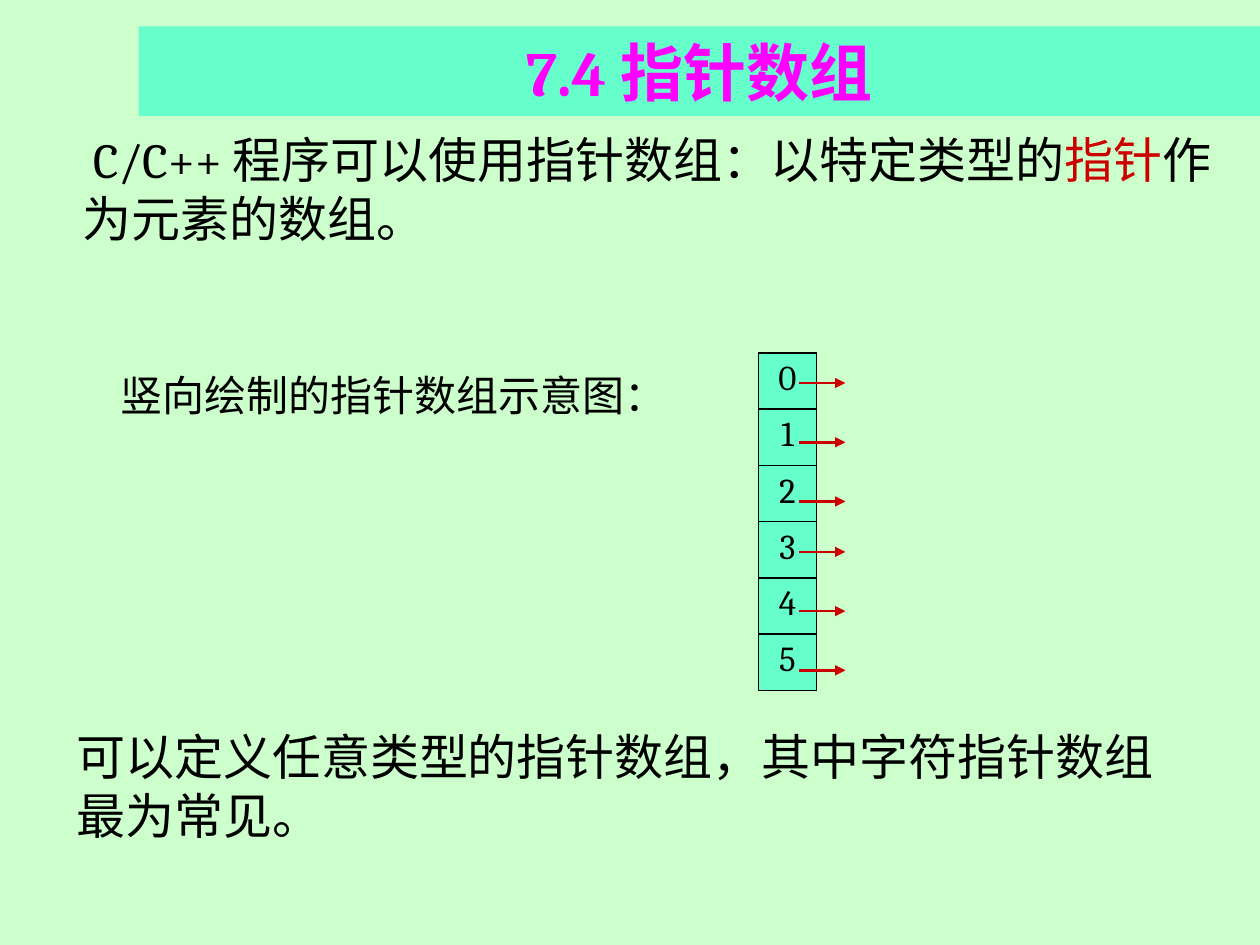
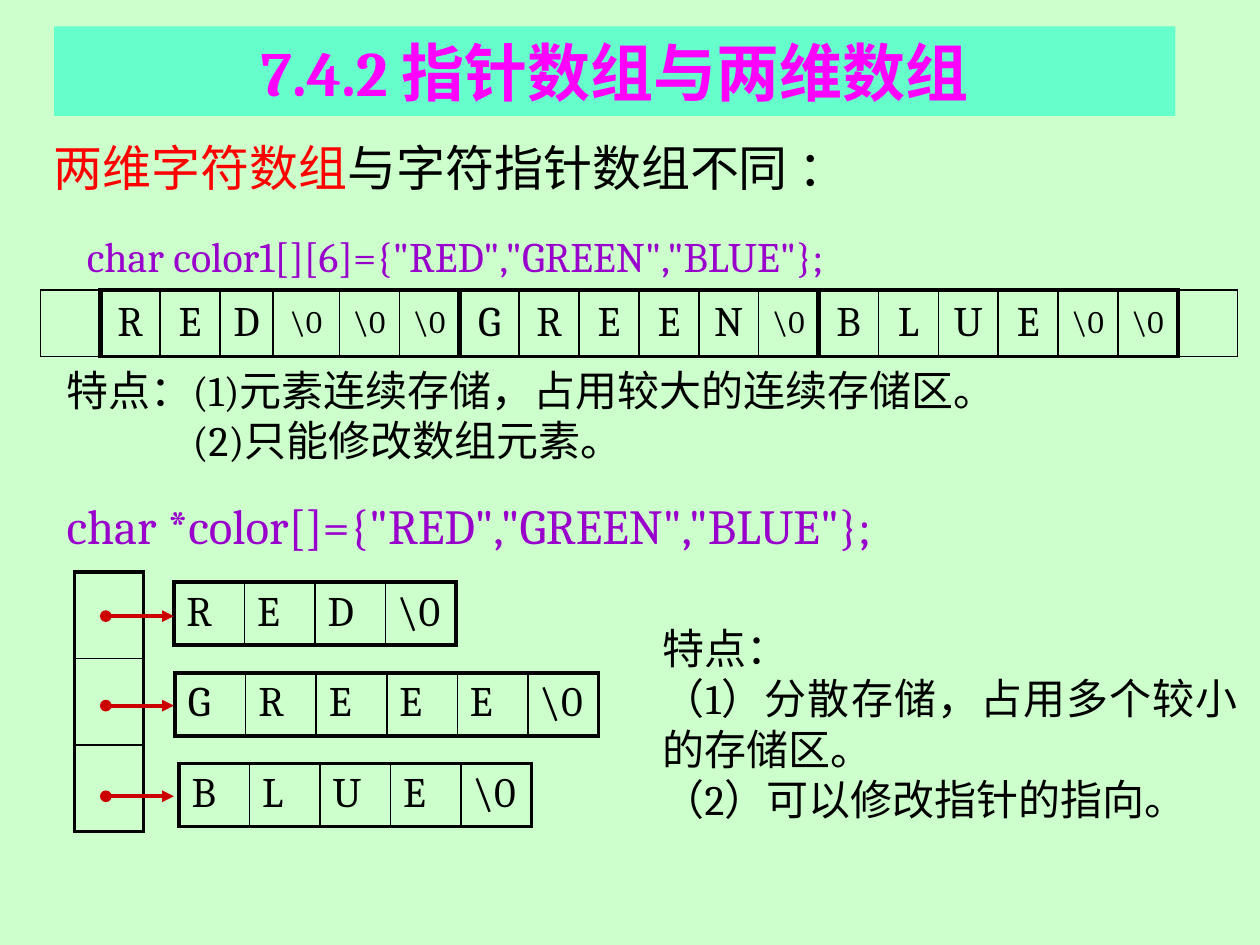
from lxml import etree
from pptx import Presentation
from pptx.dml.color import RGBColor
from pptx.enum.shapes import MSO_CONNECTOR as CONNECTOR, MSO_SHAPE as SHAPE
from pptx.enum.text import MSO_ANCHOR as ANCHOR, PP_ALIGN as ALIGN
from pptx.oxml.ns import qn
from pptx.util import Inches, Pt

LATIN, HAN = "Cambria", "Noto Sans CJK SC"
PAGE, BAND, TITLE = "CCFFCC", "66FFCC", "FF00FF"
INK, ARROW, RED, CODE = "000000", "CC0000", "FF0000", "9900CC"


def rgb(value):
    return RGBColor.from_string(value)


def style(paragraph, size, color=INK, align=ALIGN.LEFT, bold=False, latin=LATIN):
    paragraph.alignment = align
    font = paragraph.font
    font.size, font.bold, font.name = Pt(size), bold, latin
    font.color.rgb = rgb(color)
    defaults = paragraph._p.pPr.find(qn("a:defRPr"))
    etree.SubElement(defaults, qn("a:ea")).set("typeface", HAN)


def add_page(deck, title, band_left):
    slide = deck.slides.add_slide(deck.slide_layouts[6])
    slide.background.fill.solid()
    slide.background.fill.fore_color.rgb = rgb(PAGE)
    band = slide.shapes.add_shape(SHAPE.RECTANGLE, Inches(band_left), Inches(0.21),
                                  Inches(8.9), Inches(0.71))
    band.shadow.inherit = False
    band.fill.solid()
    band.fill.fore_color.rgb = rgb(BAND)
    band.line.fill.background()
    band.text_frame.vertical_anchor = ANCHOR.MIDDLE
    heading = band.text_frame.paragraphs[0]
    heading.text = title
    style(heading, 36, TITLE, ALIGN.CENTER, bold=True)
    return slide


def add_text(slide, box, paragraphs, size, color=INK, wrap=True, **options):
    frame = slide.shapes.add_textbox(*map(Inches, box)).text_frame
    frame.word_wrap = wrap
    for index, pieces in enumerate(paragraphs):
        paragraph = frame.add_paragraph() if index else frame.paragraphs[0]
        for words, accent in pieces:
            run = paragraph.add_run()
            run.text = words
            if accent:
                run.font.color.rgb = rgb(accent)
        style(paragraph, size, color, **options)
    return frame


def plain(*lines):
    return [[(line, None)] for line in lines]


def indent(paragraph, margin=0, first=0):
    properties = paragraph._p.get_or_add_pPr()
    properties.set("marL", str(Inches(margin)))
    properties.set("indent", str(Inches(first)))


def set_borders(cell, left, right, top, bottom):
    properties = cell._tc.get_or_add_tcPr()
    sides = zip(("a:lnL", "a:lnR", "a:lnT", "a:lnB"), (left, right, top, bottom))
    for position, (tag, width) in enumerate(sides):
        for old in properties.findall(qn(tag)):
            properties.remove(old)
        line = etree.Element(qn(tag), w=str(Pt(width)))
        fill = etree.SubElement(line, qn("a:solidFill"))
        etree.SubElement(fill, qn("a:srgbClr"), val=INK)
        properties.insert(position, line)


def lines_for(count, outer):
    return [outer] + [1] * (count - 1) + [outer]


def add_grid(slide, left, top, widths, height, rows, size=24, outer=2.25,
             column_lines=None, fill=None, align=ALIGN.LEFT, anchor=ANCHOR.TOP):
    table = slide.shapes.add_table(
        len(rows), len(widths), Inches(left), Inches(top),
        Inches(sum(widths)), Inches(height * len(rows))).table
    table.first_row = table.horz_banding = False
    for column, width in zip(table.columns, widths):
        column.width = Inches(width)
    across = column_lines or lines_for(len(widths), outer)
    down = lines_for(len(rows), outer)
    for r, row in enumerate(rows):
        table.rows[r].height = Inches(height)
        for c, text in enumerate(row):
            cell = table.cell(r, c)
            set_borders(cell, across[c], across[c + 1], down[r], down[r + 1])
            if fill:
                cell.fill.solid()
                cell.fill.fore_color.rgb = rgb(fill)
            else:
                cell.fill.background()
            cell.vertical_anchor = anchor
            paragraph = cell.text_frame.paragraphs[0]
            paragraph.text = text
            style(paragraph, size, align=align)
    return table


def add_arrow(slide, start, end, y, width, head=None):
    arrow = slide.shapes.add_connector(CONNECTOR.STRAIGHT, Inches(start), Inches(y),
                                       Inches(end), Inches(y))
    arrow.line.color.rgb = rgb(ARROW)
    arrow.line.width = Pt(width)
    line = arrow.line._get_or_add_ln()
    if head:
        etree.SubElement(line, qn("a:headEnd"), type=head)
    etree.SubElement(line, qn("a:tailEnd"), type="triangle")
    etree.SubElement(arrow._element.spPr, qn("a:effectLst"))


def add_memory_strip(slide, words, slots):
    letters = [""]
    for word in words:
        letters += list(word) + ["\\0"] * (slots - len(word))
    letters.append("")
    count = len(letters)
    widths = [9.51 / count] * count
    widths[3:5] = 0.42, 0.53
    column_lines = [3 if edge % slots == 1 else 1 for edge in range(count + 1)]
    strip = add_grid(slide, 0.32, 2.3, widths, 0.53, [letters],
                     column_lines=column_lines, align=ALIGN.CENTER, anchor=ANCHOR.MIDDLE)
    for column, letter in enumerate(letters):
        cell = strip.cell(0, column)
        cell.margin_top = cell.margin_bottom = Inches(0.06)
        if letter == "\\0":
            cell.text_frame.paragraphs[0].font.size = Pt(18)
    set_borders(strip.cell(0, 0), 1, 3, 1, 1)
    set_borders(strip.cell(0, count - 1), 3, 1, 1, 1)


def build_pointer_array(deck):
    slide = add_page(deck, "7.4 指针数组", 1.1)
    intro = add_text(slide, (0.56, 0.98, 9.19, 1.04), [[
        ("C/C++ 程序可以使用指针数组：以特定类型的", None),
        ("指针", ARROW), ("作为元素的数组。", None)]], 28)
    indent(intro.paragraphs[0], first=0.08)
    add_grid(slide, 6.02, 2.8, [0.46], 2.68 / 6, [[str(n)] for n in range(6)],
             size=20, outer=1, fill=BAND, align=ALIGN.CENTER)
    for first in (3.04, 4.38):
        for step in range(3):
            add_arrow(slide, 6.34, 6.71, first + 0.47 * step, 1.5)
    add_text(slide, (0.51, 5.72, 8.83, 1.04),
             plain("可以定义任意类型的指针数组，其中字符指针数组最为常见。"), 28)
    add_text(slide, (0.67, 2.88, 4.9, 0.5), plain("竖向绘制的指针数组示意图："), 24,
             align=ALIGN.CENTER, latin=HAN)


def build_comparison(deck):
    slide = add_page(deck, "7.4.2 指针数组与两维数组", 0.43)
    add_text(slide, (0.33, 1.04, 9.39, 0.57),
             [[("两维字符数组", RED), ("与字符指针数组不同 ：", None)]], 28)
    add_text(slide, (0.59, 1.78, 9.12, 0.5),
             plain('char color1[][6]={"RED","GREEN","BLUE"};'), 24, CODE)
    add_memory_strip(slide, ["RED", "GREEN", "BLUE"], 6)
    features = add_text(slide, (0.43, 2.84, 9.01, 0.91),
                        plain("特点：(1)元素连续存储，占用较大的连续存储区。",
                              "(2)只能修改数组元素。"), 24, align=ALIGN.JUSTIFY)
    indent(features.paragraphs[1], margin=1)

    add_text(slide, (0.43, 3.88, 6.77, 0.57),
             plain('char *color[]={"RED","GREEN","BLUE"};'), 28, CODE,
             wrap=False, align=ALIGN.JUSTIFY)
    add_grid(slide, 0.59, 4.54, [0.55], 2.06 / 3, [[""]] * 3)
    targets = [("RED", 1.38, 4.62, 4.89), ("GREEE", 1.39, 5.34, 5.6),
               ("BLUE", 1.42, 6.06, 6.32)]
    for word, left, top, arrow_y in targets:
        letters = list(word) + ["\\0"]
        add_grid(slide, left, top, [0.56] * len(letters), 0.5, [letters])
        add_arrow(slide, 0.84, 1.38, arrow_y, 2.25, head="oval")
    add_text(slide, (5.16, 4.89, 4.76, 1.72),
             plain("特点：", "（1）分散存储，占用多个较小的存储区。",
                   "（2）可以修改指针的指向。"), 24, align=ALIGN.JUSTIFY)


def main():
    deck = Presentation()
    deck.slide_width, deck.slide_height = Inches(10), Inches(7.5)
    build_pointer_array(deck)
    build_comparison(deck)
    deck.save("out.pptx")


if __name__ == "__main__":
    main()
